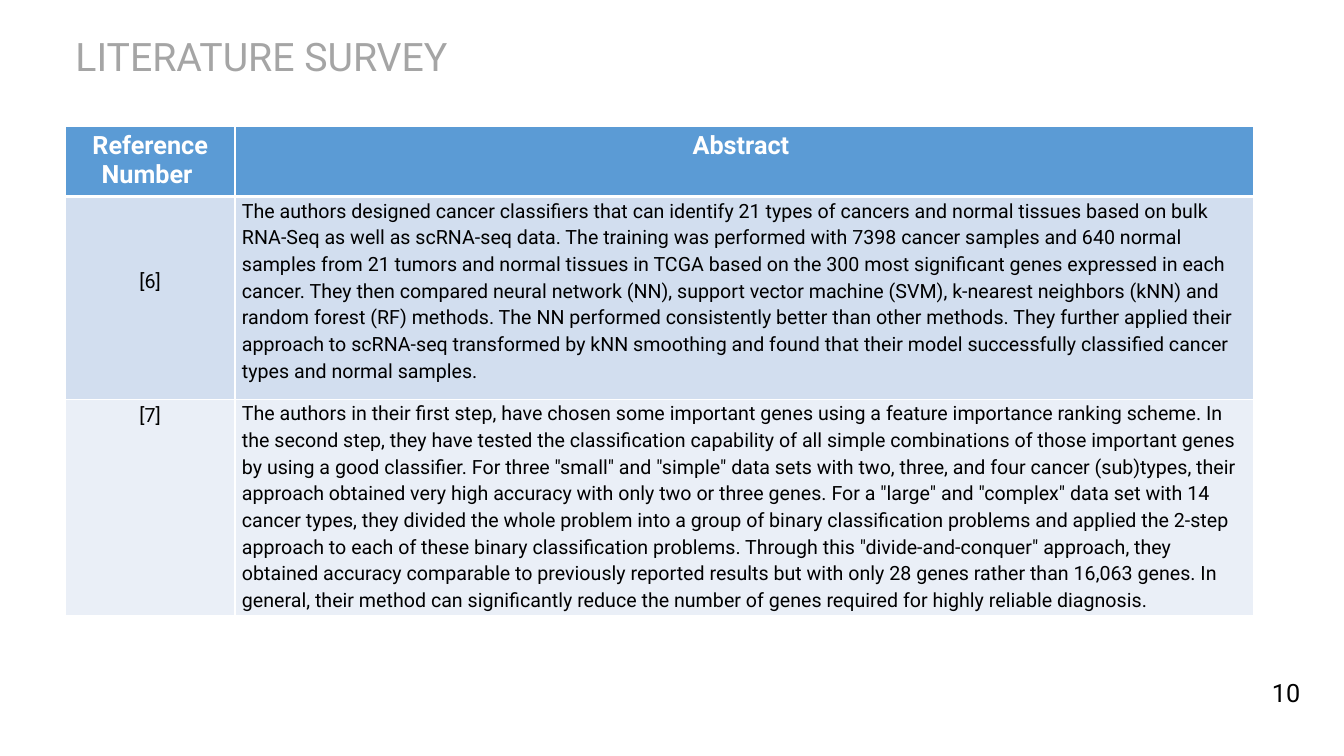
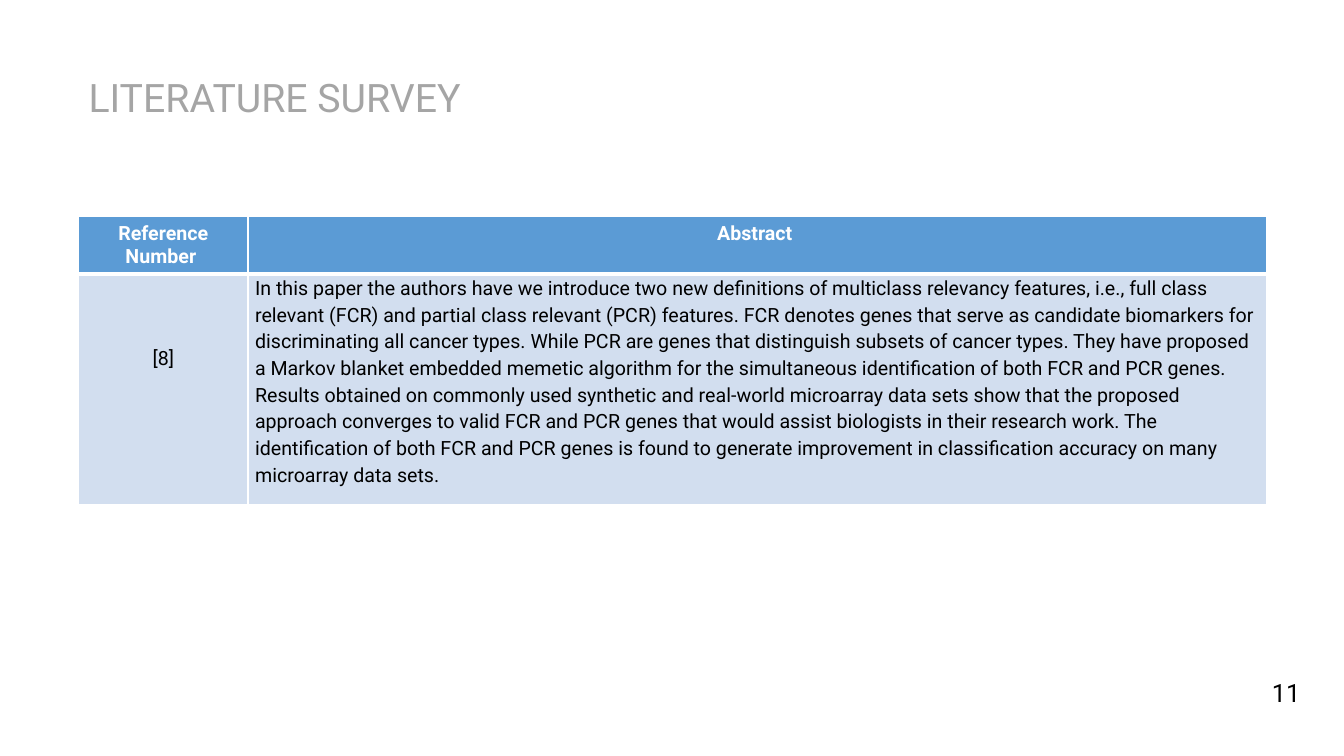
"""Build two literature survey slides with reference tables."""
import pptx
import pptx.dml.color
import pptx.enum.text
import pptx.oxml
import pptx.oxml.ns
import pptx.util
from pptx.util import Inches, Pt

FONT = "Roboto"
COLORS = {
    "title": "A5A5A5",
    "text": "000000",
    "header": "5B9BD5",
    "header_text": "FFFFFF",
    "border": "FFFFFF",
    "odd_row": "D2DEEF",
    "even_row": "EAEFF7",
}
TITLE = "LITERATURE SURVEY"
HEADERS = ("Reference Number ", "Abstract ")
COLUMN_WIDTHS = (1.68, 10.1)
LOWERED_MARGIN = 0.73
CENTER = pptx.enum.text.PP_ALIGN.CENTER
LEFT = pptx.enum.text.PP_ALIGN.LEFT
MIDDLE = pptx.enum.text.MSO_ANCHOR.MIDDLE

PAGES = [
    {
        "number": "10",
        "left": 0.65,
        "title_top": 0.34,
        "table_top": 1.25,
        "header_size": 18,
        "row_heights": (0.68, 2.01, 2.11),
        "references": [
            ("[6]", LOWERED_MARGIN, [
                "The authors designed cancer classifiers that can identify 21 types of cancers "
                "and normal tissues based on bulk RNA-Seq as well as scRNA-seq data.",
                "The training was performed with 7398 cancer samples and 640 normal samples from "
                "21 tumors and normal tissues in TCGA based on the 300 most significant genes "
                "expressed in each cancer.",
                "They then compared neural network (NN), support vector machine (SVM), k-nearest "
                "neighbors (kNN) and random forest (RF) methods.",
                "The NN performed consistently better than other methods.",
                "They further applied their approach to scRNA-seq transformed by kNN smoothing "
                "and found that their model successfully classified cancer types and normal "
                "samples.",
            ]),
            ("[7]", 0.05, [
                "The authors in their first step, have chosen some important genes using a "
                "feature importance ranking scheme.",
                "In the second step, they have tested the classification capability of all "
                "simple combinations of those important genes by using a good classifier.",
                'For three "small" and "simple" data sets with two, three, and four cancer '
                "(sub)types, their approach obtained very high accuracy with only two or three "
                "genes.",
                'For a "large" and "complex" data set with 14 cancer types, they divided the '
                "whole problem into a group of binary classification problems and applied the "
                "2-step approach to each of these binary classification problems.",
                'Through this "divide-and-conquer" approach, they obtained accuracy comparable '
                "to previously reported results but with only 28 genes rather than 16,063 genes.",
                "In general, their method can significantly reduce the number of genes required "
                "for highly reliable diagnosis.",
            ]),
        ],
    },
    {
        "number": "11",
        "left": 0.78,
        "title_top": 0.75,
        "table_top": 2.15,
        "header_size": 14,
        "row_heights": (0.55, 2.29),
        "references": [
            ("[8]", LOWERED_MARGIN, [
                "In this paper the authors have we introduce two new definitions of multiclass "
                "relevancy features, i.e., full class relevant (FCR) and partial class relevant "
                "(PCR) features.",
                "FCR denotes genes that serve as candidate biomarkers for discriminating all "
                "cancer types.",
                "While PCR are genes that distinguish subsets of cancer types.",
                "They have proposed a Markov blanket embedded memetic algorithm for the "
                "simultaneous identification of both FCR and PCR genes.",
                "Results obtained on commonly used synthetic and real-world microarray data sets "
                "show that the proposed approach converges to valid FCR and PCR genes that would "
                "assist biologists in their research work.",
                "The identification of both FCR and PCR genes is found to generate improvement "
                "in classification accuracy on many microarray data sets.",
            ]),
        ],
    },
]


def rgb(name):
    return pptx.dml.color.RGBColor.from_string(COLORS[name])


def write(frame, text, size, color, align=LEFT, bold=False):
    para = frame.paragraphs[0]
    para.text = text
    para.alignment = align
    para.font.name = FONT
    para.font.size = Pt(size)
    para.font.bold = bold
    para.font.color.rgb = rgb(color)
    return para


def add_text(page, text, place, size, color, align=LEFT):
    box = page.shapes.add_textbox(*map(Inches, place))
    box.text_frame.word_wrap = True
    box.text_frame.vertical_anchor = MIDDLE
    return write(box.text_frame, text, size, color, align)


def style_cell(cell, fill, edges):
    properties = cell._tc.get_or_add_tcPr()
    for side in ("L", "R", "T", "B"):
        properties.append(pptx.oxml.parse_xml(
            f'<a:ln{side} {pptx.oxml.ns.nsdecls("a")} w="{Pt(edges.get(side, 1))}">'
            f'<a:solidFill><a:srgbClr val="{COLORS["border"]}"/></a:solidFill></a:ln{side}>'))
    cell.fill.solid()
    cell.fill.fore_color.rgb = rgb(fill)


def add_reference_table(page, content):
    heights = content["row_heights"]
    table = page.shapes.add_table(
        len(heights), len(COLUMN_WIDTHS), Inches(content["left"]), Inches(content["table_top"]),
        Inches(sum(COLUMN_WIDTHS)), Inches(sum(heights))).table
    for column, width in zip(table.columns, COLUMN_WIDTHS):
        column.width = Inches(width)
    for row, height in zip(table.rows, heights):
        row.height = Inches(height)

    for cell, label in zip(table.rows[0].cells, HEADERS):
        write(cell.text_frame, label, content["header_size"], "header_text", CENTER, True)
        style_cell(cell, "header", {"B": 3})

    for index, (reference, top_margin, sentences) in enumerate(content["references"], 1):
        number_cell, abstract_cell = table.rows[index].cells
        number_cell.margin_top = Inches(top_margin)
        write(number_cell.text_frame, reference, 14, "text", CENTER)
        abstract_cell.margin_left = abstract_cell.margin_right = Inches(0.07)
        abstract_cell.margin_top = abstract_cell.margin_bottom = 0
        para = write(abstract_cell.text_frame, " ".join(sentences), 14, "text")
        para.line_spacing = 1.15
        para.space_after = Pt(10)
        for cell in (number_cell, abstract_cell):
            style_cell(cell, "odd_row" if index % 2 else "even_row", {"T": 3 if index == 1 else 1})


def main():
    deck = pptx.Presentation()
    deck.slide_width, deck.slide_height = Inches(13.33), Inches(7.5)
    for content in PAGES:
        page = deck.slides.add_slide(deck.slide_layouts[6])
        title_place = (content["left"], content["title_top"], 6.79, 0.48)
        add_text(page, TITLE, title_place, 28, "title").line_spacing = 0.9
        add_text(page, content["number"], (12.43, 6.67, 0.65, 0.4), 18, "text", CENTER)
        add_reference_table(page, content)
    deck.save("out.pptx")


if __name__ == "__main__":
    main()
